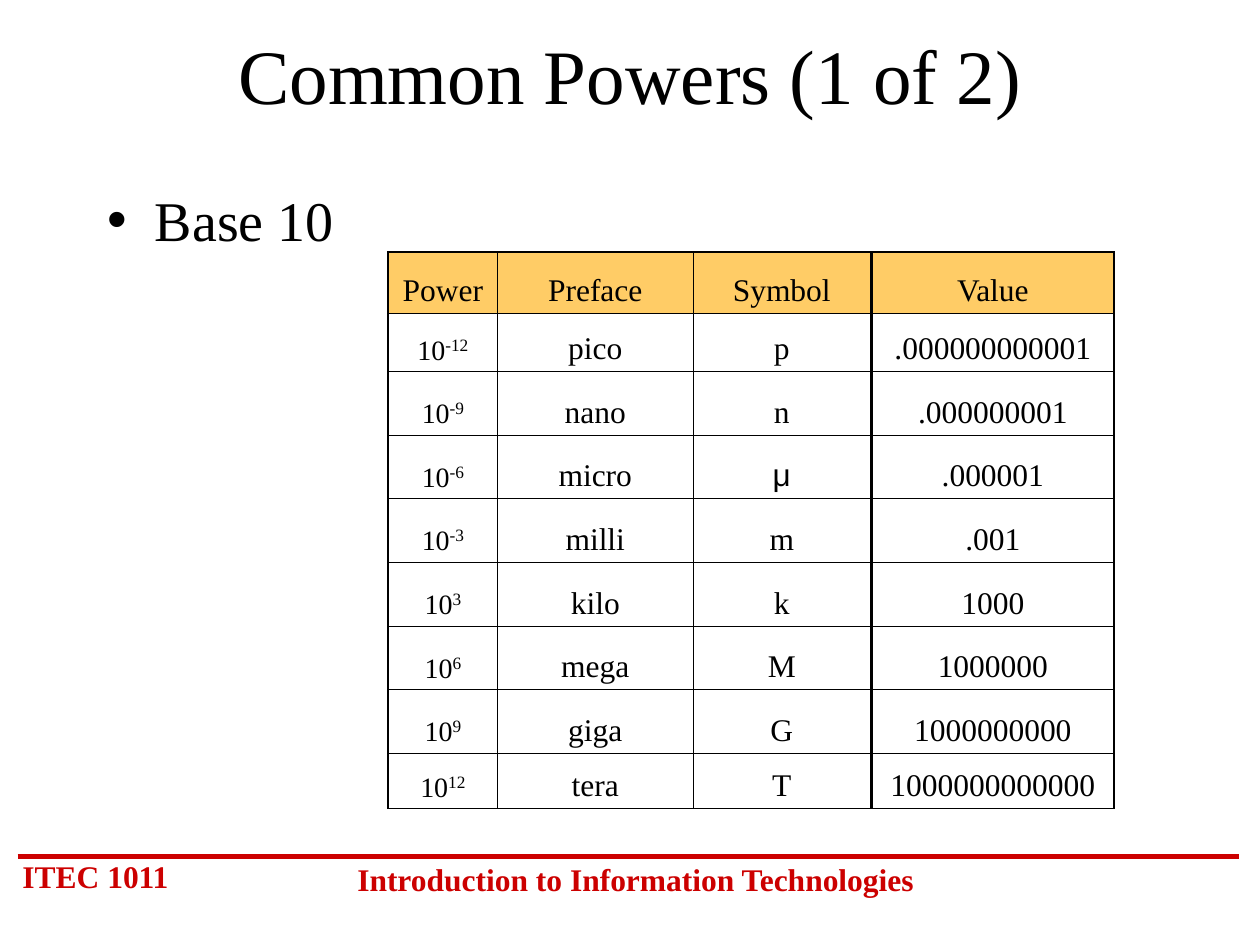
from dataclasses import dataclass

from lxml.etree import SubElement
from pptx import Presentation
from pptx.dml.color import RGBColor
from pptx.enum.shapes import MSO_CONNECTOR
from pptx.enum.text import MSO_ANCHOR, MSO_AUTO_SIZE, PP_ALIGN
from pptx.oxml.ns import qn
from pptx.util import Inches, Pt


@dataclass(frozen=True)
class Theme:
    font: str = "Times New Roman"
    symbol_font: str = "Arial"
    ink: str = "000000"
    red: str = "CC0000"
    header: str = "FFCC66"
    title: int = 44
    bullet: int = 32
    text: int = 18
    power: int = 16
    exponent: int = 17
    thick: float = 1.08
    thin: float = 0.45


theme = Theme()
deck = Presentation()
deck.slide_width, deck.slide_height = Inches(10), Inches(7.5)
page = deck.slides.add_slide(deck.slide_layouts[1])
unit = deck.slide_width / 100  # grid of 100 columns by 75 rows


def grid(*steps):
    return [round(step * unit) for step in steps]


def add_span(para, text, size, color=theme.ink, font=theme.font, bold=False):
    span = para.add_run()
    span.text = text
    span.font.size = Pt(size)
    span.font.name = font
    span.font.bold = bold
    span.font.color.rgb = RGBColor.from_string(color)
    return span


# Footer rule and captions
rule = page.shapes.add_connector(MSO_CONNECTOR.STRAIGHT, *grid(1.4, 68, 98.3, 68))
rule.line.color.rgb = RGBColor.from_string(theme.red)
rule.line.width = Pt(3)
SubElement(rule._element.spPr, qn("a:effectLst"))

for caption, area, align in (
    ("ITEC 1011", (0.8, 67.5, 15, 4), PP_ALIGN.LEFT),
    ("Introduction to Information Technologies", (26.7, 67.8, 47.5, 4), PP_ALIGN.CENTER),
):
    box = page.shapes.add_textbox(*grid(*area))
    box.text_frame.word_wrap = True
    para = box.text_frame.paragraphs[0]
    para.alignment = align
    para.space_before = Pt(11.2)
    add_span(para, caption, theme.text, theme.red, bold=True)

# Title and bullet
title, body = page.shapes.title, page.placeholders[1]
for holder, area, anchor in (
    (title, (7.5, 1.7, 85, 8.3), MSO_ANCHOR.MIDDLE),
    (body, (7.5, 14.2, 85, 45), MSO_ANCHOR.TOP),
):
    holder.left, holder.top, holder.width, holder.height = grid(*area)
    holder.text_frame.auto_size = MSO_AUTO_SIZE.NONE
    holder.text_frame.vertical_anchor = anchor

para = title.text_frame.paragraphs[0]
para.alignment = PP_ALIGN.CENTER
add_span(para, "Common Powers (1 of 2)", theme.title)

para = body.text_frame.paragraphs[0]
para.space_before = Pt(8)
add_span(para, "Base 10", theme.bullet)
properties = para._p.get_or_add_pPr()
properties.set("marL", str(Inches(0.38)))
properties.set("indent", str(-Inches(0.38)))
SubElement(properties, qn("a:buChar"), char="•")

# Tables: prefixes on the left, values on the right
prefixes = [
    ("Power", "Preface", "Symbol"),
    ("-12", "pico", "p"),
    ("-9", "nano", "n"),
    ("-6", "micro", "μ"),
    ("-3", "milli", "m"),
    ("3", "kilo", "k"),
    ("6", "mega", "M"),
    ("9", "giga", "G"),
    ("12", "tera", "T"),
]
values = [
    ("Value",), (".000000000001",), (".000000001",), (".000001",), (".001",),
    ("1000",), ("1000000",), ("1000000000",), ("1000000000000",),
]
table_height = 44.2
first, second, last = 4.9, 4.6, 4.4
middle = (table_height - first - second - last) / 6
row_heights = grid(first, second, *[middle] * 6, last)

for rows, left, widths in (
    (prefixes, 30.8, (8.7, 15.5, 14.1)),
    (values, 69.2, (19.2,)),
):
    area = grid(left, 20, sum(widths), table_height)
    table = page.shapes.add_table(len(rows), len(widths), *area).table
    table.first_row = table.horz_banding = False
    for column, width in zip(table.columns, grid(*widths)):
        column.width = width
    for row, height in zip(table.rows, row_heights):
        row.height = height

    for r, row in enumerate(rows):
        for c, text in enumerate(row):
            cell = table.cell(r, c)
            cell.vertical_anchor = MSO_ANCHOR.BOTTOM
            is_power = r > 0 and len(row) > 1 and c == 0

            # Thick lines on the outside, thin lines inside
            outer = {
                "L": c == 0,
                "R": c == len(row) - 1,
                "T": r == 0,
                "B": r == len(rows) - 1,
            }
            cell_properties = cell._tc.get_or_add_tcPr()
            for side, is_outer in outer.items():
                weight = Pt(theme.thick if is_outer else theme.thin)
                line = SubElement(cell_properties, qn(f"a:ln{side}"), w=str(weight))
                fill = SubElement(line, qn("a:solidFill"))
                SubElement(fill, qn("a:srgbClr"), val=theme.ink)
            if r == 0:
                cell.fill.solid()
                cell.fill.fore_color.rgb = RGBColor.from_string(theme.header)
            else:
                cell.fill.background()

            # Cell text, with the exponent raised
            para = cell.text_frame.paragraphs[0]
            para.alignment = PP_ALIGN.CENTER
            para.line_spacing = 0.8
            para.space_before = Pt(4.2 if is_power else 4.5)
            if is_power:
                add_span(para, "10", theme.power)
                exponent = add_span(para, text, theme.exponent)
                exponent._r.get_or_add_rPr().set("baseline", "30000")
            else:
                font = theme.symbol_font if text == "μ" else theme.font
                add_span(para, text, theme.text, font=font)

deck.save("out.pptx")
